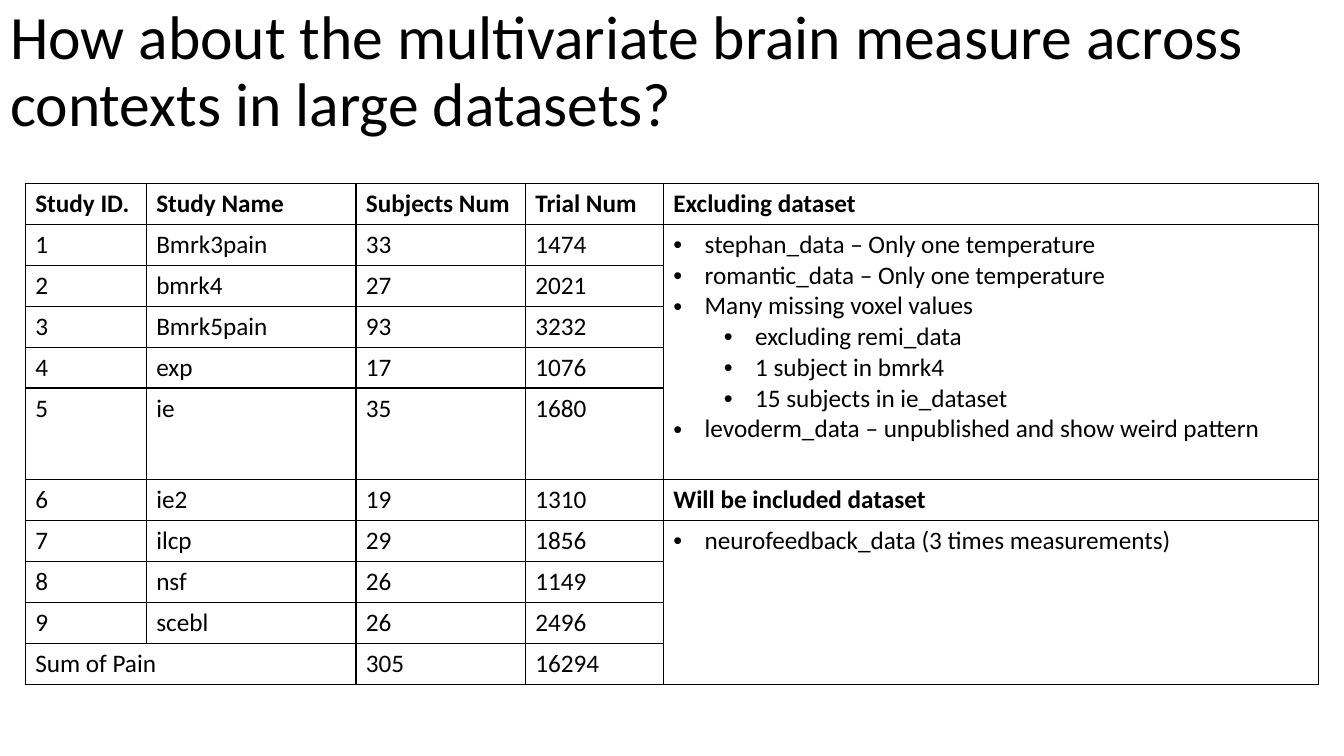
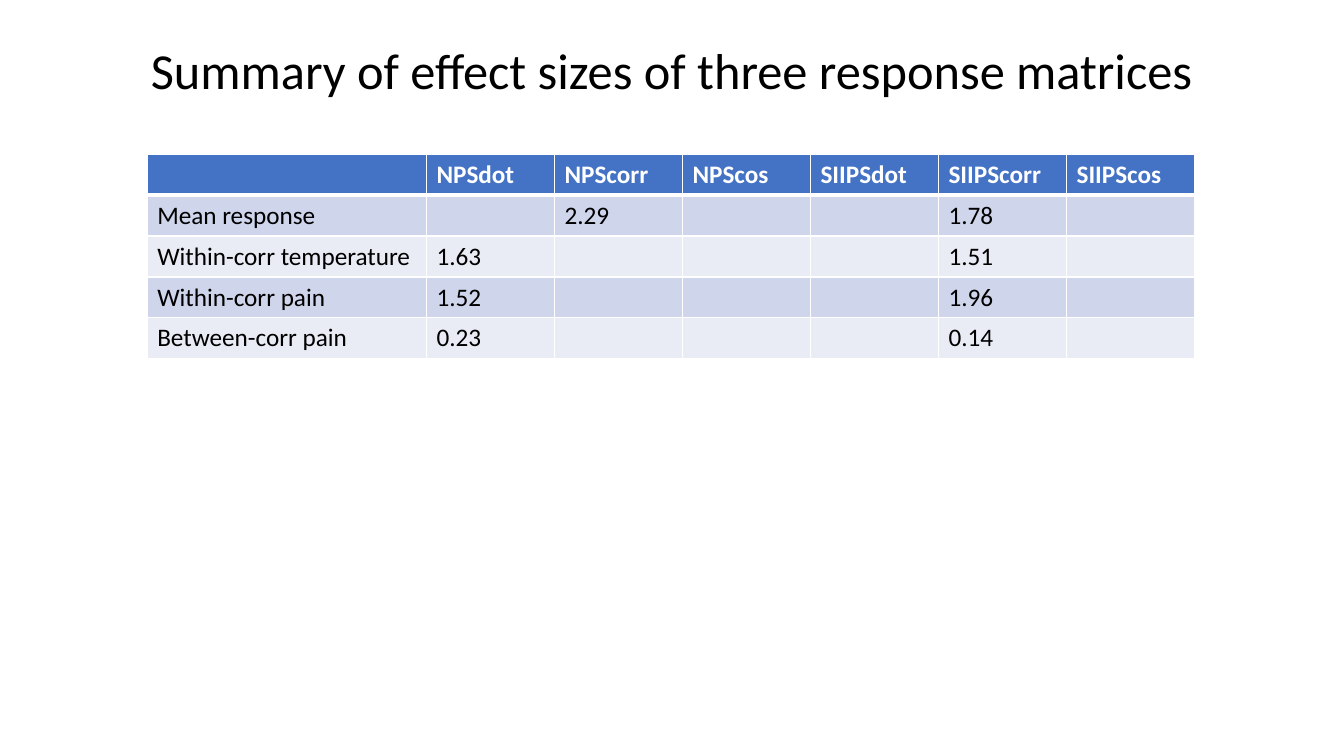
from dataclasses import dataclass

from lxml import etree
from pptx import Presentation
from pptx import util as u
from pptx.dml.color import RGBColor
from pptx.enum import text
from pptx.oxml import ns

FONT = "Calibri"
BLACK, WHITE = "000000", "FFFFFF"
HEADER_BLUE, BAND_DARK, BAND_LIGHT = "4472C4", "CFD5EA", "E9EBF5"
SLIDE_WIDTH = 13.33
ROW_HEIGHT = 2.03 / 5  # one line of body text with its margins
BULLET_INDENT, LEVEL_INDENT = 0.31, 0.5


@dataclass(frozen=True)
class Title:
    words: str
    width: float
    size: int
    align: text.PP_ALIGN


@dataclass(frozen=True)
class Line:
    words: str
    level: int | None = None  # None means no bullet
    bold: bool = False


@dataclass(frozen=True)
class Grid:
    left: float
    top: float
    columns: list[float]
    rows: list[float]


@dataclass(frozen=True)
class CellStyle:
    fill: str | None = None
    border: str = BLACK
    top: int = 1
    bottom: int = 1
    font: str = BLACK


def rgb(value: str) -> RGBColor:
    return RGBColor.from_string(value)


def format_para(para, size: int, color: str, bold: bool = False) -> None:
    for span in para.runs:
        span.font.name = FONT
        span.font.size = u.Pt(size)
        span.font.bold = bold
        span.font.color.rgb = rgb(color)


def add_page(deck, title: Title):
    page = deck.slides.add_slide(deck.slide_layouts.get_by_name("Title Only"))
    box = page.shapes.title
    box.left = box.top = u.Inches(0)
    box.width, box.height = u.Inches(title.width), u.Inches(1.45)
    frame = box.text_frame
    frame.text = title.words
    frame.word_wrap = True
    frame.auto_size = text.MSO_AUTO_SIZE.NONE
    frame.vertical_anchor = text.MSO_ANCHOR.MIDDLE
    para = frame.paragraphs[0]
    para.alignment = title.align
    para.line_spacing = 0.9
    format_para(para, title.size, title_color := BLACK)
    return page


def add_grid(page, grid: Grid):
    frame = page.shapes.add_table(
        len(grid.rows), len(grid.columns), u.Inches(grid.left), u.Inches(grid.top),
        u.Inches(sum(grid.columns)), u.Inches(sum(grid.rows)))
    table = frame.table
    table.first_row = table.horz_banding = False
    for column, width in zip(table.columns, grid.columns):
        column.width = u.Inches(width)
    for row, height in zip(table.rows, grid.rows):
        row.height = u.Inches(height)
    return table


def style_cell(cell, style: CellStyle) -> None:
    props = cell._tc.get_or_add_tcPr()
    for side, width in (("L", 1), ("R", 1), ("T", style.top), ("B", style.bottom)):
        edge = etree.SubElement(props, ns.qn(f"a:ln{side}"), w=str(u.Pt(width)))
        solid = etree.SubElement(edge, ns.qn("a:solidFill"))
        etree.SubElement(solid, ns.qn("a:srgbClr"), val=style.border)
    if style.fill:
        cell.fill.solid()
        cell.fill.fore_color.rgb = rgb(style.fill)
    else:
        cell.fill.background()


def add_bullet(para, level: int) -> None:
    para.level = level
    props = para._p.get_or_add_pPr()
    props.set("marL", str(u.Inches(BULLET_INDENT + level * LEVEL_INDENT)))
    props.set("indent", str(u.Inches(-BULLET_INDENT)))
    etree.SubElement(props, ns.qn("a:buFont"), typeface="Arial")
    etree.SubElement(props, ns.qn("a:buChar"), char="•")


def write_cell(cell, lines: list[Line], color: str = BLACK) -> None:
    frame = cell.text_frame
    for index, line in enumerate(lines):
        para = frame.add_paragraph() if index else frame.paragraphs[0]
        para.text = line.words
        format_para(para, 18, color, line.bold)
        if line.level is not None:
            add_bullet(para, line.level)


# Datasets slide
STUDY_HEADINGS = ("Study ID.", "Study Name", "Subjects Num", "Trial Num")
STUDIES = [
    ("Bmrk3pain", 33, 1474), ("bmrk4", 27, 2021), ("Bmrk5pain", 93, 3232),
    ("exp", 17, 1076), ("ie", 35, 1680), ("ie2", 19, 1310),
    ("ilcp", 29, 1856), ("nsf", 26, 1149), ("scebl", 26, 2496),
]
# Notes in the last column, by the row they start in
NOTES = {
    0: [Line("Excluding dataset", bold=True)],
    1: [
        Line("stephan_data – Only one temperature", 0),
        Line("romantic_data – Only one temperature", 0),
        Line("Many missing voxel values", 0),
        Line("excluding remi_data", 1),
        Line("1 subject in bmrk4", 1),
        Line("15 subjects in ie_dataset", 1),
        Line("levoderm_data – unpublished and show weird pattern", 0),
    ],
    6: [Line("Will be included dataset", bold=True)],
    7: [Line("neurofeedback_data (3 times measurements)", 0)],
}


def build_datasets(deck) -> None:
    page = add_page(deck, Title(
        "How about the multivariate brain measure across contexts in large datasets?",
        13.08, 44, text.PP_ALIGN.LEFT))
    heights = [ROW_HEIGHT] * 5 + [0.91] + [ROW_HEIGHT] * 5
    table = add_grid(page, Grid(0.25, 1.82, [1.2, 2.08, 1.68, 1.37, 6.5], heights))
    for cell in table.iter_cells():
        style_cell(cell, CellStyle())

    # Merged areas: two note blocks and the label of the total
    for first, last in (((1, 4), (5, 4)), ((7, 4), (10, 4)), ((10, 0), (10, 1))):
        table.cell(*first).merge(table.cell(*last))

    numbered = [(number, *study) for number, study in enumerate(STUDIES, 1)]
    total = ("Sum of Pain", None, 305, 16294)
    for row, values in enumerate([STUDY_HEADINGS, *numbered, total]):
        for column, value in enumerate(values):
            if value is not None:
                write_cell(table.cell(row, column), [Line(str(value), bold=row == 0)])
    for row, lines in NOTES.items():
        write_cell(table.cell(row, 4), lines)


# Effect sizes slide
MEASURES = ("NPSdot", "NPScorr", "NPScos", "SIIPSdot", "SIIPScorr", "SIIPScos")
EFFECTS = {
    "Mean response": {"NPScorr": 2.29, "SIIPScorr": 1.78},
    "Within-corr temperature": {"NPSdot": 1.63, "SIIPScorr": 1.51},
    "Within-corr pain": {"NPSdot": 1.52, "SIIPScorr": 1.96},
    "Between-corr pain": {"NPSdot": 0.23, "SIIPScorr": 0.14},
}


def effect_style(row: int) -> CellStyle:
    if row == 0:
        return CellStyle(HEADER_BLUE, WHITE, bottom=3, font=WHITE)
    fill = BAND_DARK if row % 2 else BAND_LIGHT
    return CellStyle(fill, WHITE, top=3 if row == 1 else 1)


def build_effects(deck) -> None:
    page = add_page(deck, Title("Summary of effect sizes of three response matrices",
                                SLIDE_WIDTH, 36, text.PP_ALIGN.CENTER))
    rows = [("", *MEASURES)]
    for label, sizes in EFFECTS.items():
        rows.append((label, *(sizes.get(measure, "") for measure in MEASURES)))
    table = add_grid(page, Grid(1.46, 1.53, [2.77] + [1.27] * len(MEASURES),
                                [ROW_HEIGHT] * len(rows)))
    for row, values in enumerate(rows):
        style = effect_style(row)
        for column, value in enumerate(values):
            cell = table.cell(row, column)
            style_cell(cell, style)
            if value:
                write_cell(cell, [Line(str(value), bold=row == 0)], style.font)


def main() -> None:
    deck = Presentation()
    deck.slide_width, deck.slide_height = u.Inches(SLIDE_WIDTH), u.Inches(7.5)
    build_datasets(deck)
    build_effects(deck)
    deck.save("out.pptx")


if __name__ == "__main__":
    main()
